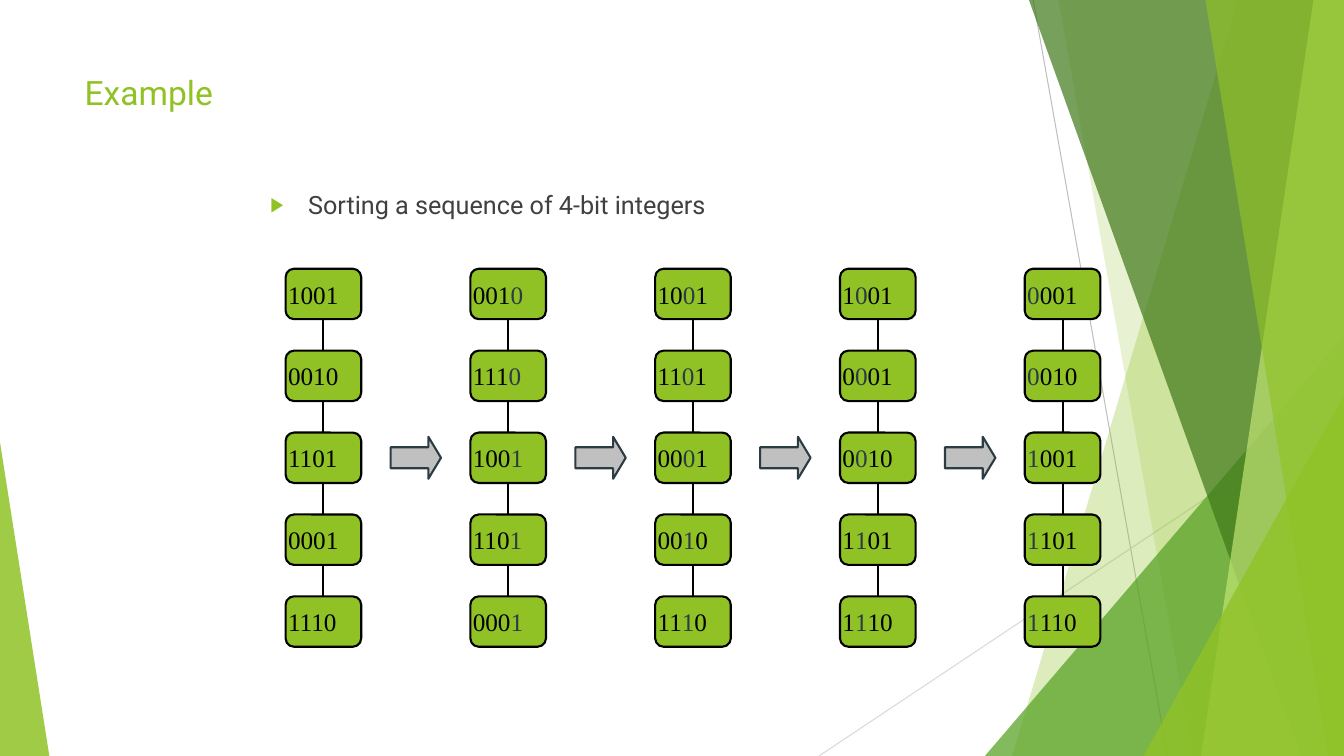
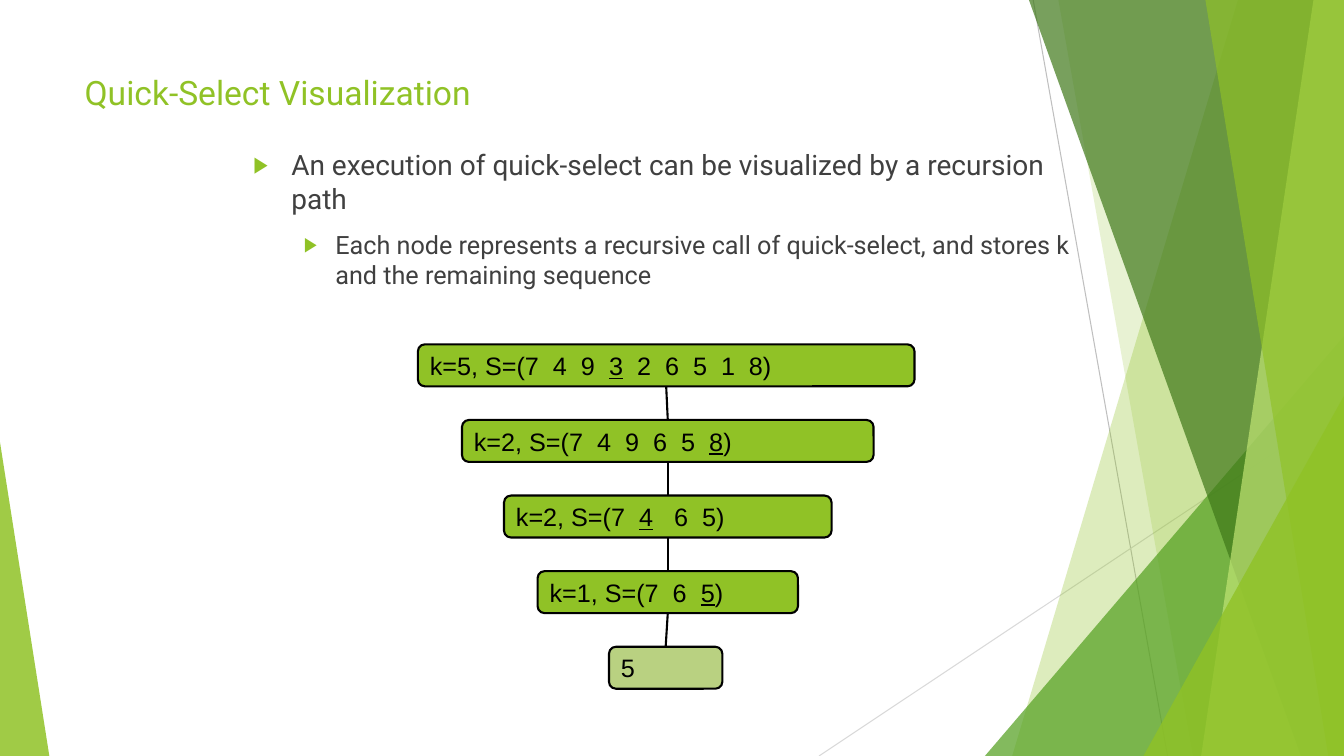
from lxml import etree
from pptx import Presentation
from pptx import util as u
from pptx.dml.color import RGBColor
from pptx.enum import shapes, text
from pptx.oxml.ns import qn

PX = 9525
WIDTH, HEIGHT = 1280, 720
GREEN = "90C226"
BLACK = "000000"
BODY_GREY = "404040"
DARK_SLATE = "2C3C43"
HEADING_FONT = "Roboto"
BOTTOM, TOP = 2, 0

SEQUENCE = ["1001", "0010", "1101", "0001", "1110"]
# Left, width, label and fill; the pivot stands between underscores.
RECURSION_PATH = [
    (398, 473, "k=5, S=(7  4  9  _3_  2  6  5  1  8)", GREEN),
    (440, 392, "k=2, S=(7  4  9  6  5  _8_)", GREEN),
    (480, 312, "k=2, S=(7  _4_   6  5)", GREEN),
    (512, 248, "k=1, S=(7  6  _5_)", GREEN),
    (580, 108, "5", "B9D181"),
]


def px(*lengths):
    return [u.Emu(length * PX) for length in lengths]


def colour(value):
    return RGBColor.from_string(value)


def paint(shape, fill, line=None, opacity=None):
    shape.shadow.inherit = False
    shape.fill.solid()
    shape.fill.fore_color.rgb = colour(fill)
    if opacity:
        solid = shape._element.spPr.find(qn("a:solidFill"))
        etree.SubElement(solid[0], qn("a:alpha"), val=str(opacity * 1000))
    if line:
        shape.line.color.rgb = colour(line)
        shape.line.width = u.Pt(1.5)
    else:
        shape.line.fill.background()


def format_run(run, font, size, value):
    run.font.name = font
    run.font.size = u.Pt(size)
    run.font.color.rgb = colour(value)


def add_line(slide, points=(0, 0, 0, 0), value=BLACK, width=1.5):
    line = slide.shapes.add_connector(shapes.MSO_CONNECTOR.STRAIGHT, *px(*points))
    line.line.color.rgb = colour(value)
    line.line.width = u.Pt(width)
    etree.SubElement(line._element.spPr, qn("a:effectLst"))
    return line


def add_band(slide, top_x, bottom_x, fill, opacity):
    """Fill the area between a slanted edge and the right side of the slide."""
    builder = slide.shapes.build_freeform(top_x, 0, PX)
    builder.add_line_segments([(WIDTH, 0), (WIDTH, HEIGHT), (bottom_x, HEIGHT)])
    paint(builder.convert_to_shape(), fill, opacity=opacity)


def add_corner(slide, left, top, width, apex, fill, opacity):
    """Add a right-angled triangle standing on the bottom of the slide."""
    shape = slide.shapes.add_shape(
        shapes.MSO_SHAPE.ISOSCELES_TRIANGLE, *px(left, top, width, HEIGHT - top))
    shape.adjustments[0] = apex
    paint(shape, fill, opacity=opacity)


def decorate_layout(layout, slide):
    """Draw the shared facets on a slide, then move them to its layout."""
    add_line(slide, (984, 0, 1112, HEIGHT), "BFBFBF", 0.75)
    add_line(slide, (WIDTH, 387, 780, HEIGHT), "D9D9D9", 0.75)
    add_band(slide, 1179, 964, GREEN, 30)
    add_band(slide, 1008, 1136, GREEN, 20)
    add_corner(slide, 938, 320, 342, 1, "54A021", 72)
    add_band(slide, 980, 1239, "3F7819", 70)
    add_band(slide, 1251, 1144, "C0E474", 70)
    add_band(slide, 1148, 1265, GREEN, 65)
    add_corner(slide, 1089, 377, 191, 1, GREEN, 80)
    add_corner(slide, 0, 421, 47, 0, GREEN, 85)
    facets = [shape for shape in slide.shapes if not shape.is_placeholder]
    for index, facet in enumerate(facets):
        facet._element.xpath(".//p:cNvPr")[0].set("id", str(100 + index))
        layout.shapes._spTree.insert(2 + index, facet._element)


def set_title(slide, title):
    shape = slide.shapes.title
    shape.left, shape.top, shape.width, shape.height = px(71, 64, 902, 138)
    frame = shape.text_frame
    frame.text = title
    frame.auto_size = text.MSO_AUTO_SIZE.NONE
    frame.vertical_anchor = text.MSO_ANCHOR.TOP
    paragraph = frame.paragraphs[0]
    paragraph.alignment = text.PP_ALIGN.LEFT
    format_run(paragraph.runs[0], HEADING_FONT, 24, GREEN)


def set_bullet(paragraph, margin, hanging):
    properties = paragraph._p.get_or_add_pPr()
    properties.set("marL", str(margin * PX))
    properties.set("indent", str(-hanging * PX))
    bullet_colour = etree.SubElement(properties, qn("a:buClr"))
    etree.SubElement(bullet_colour, qn("a:srgbClr"), val=GREEN)
    etree.SubElement(properties, qn("a:buSzPct"), val="80000")
    etree.SubElement(properties, qn("a:buFont"), typeface="Arial")
    etree.SubElement(properties, qn("a:buChar"), char="▶")


def add_bullets(slide, box, items):
    """Add a bullet list of (text, size, margin, hanging indent) items."""
    frame = slide.shapes.add_textbox(*px(*box)).text_frame
    frame.word_wrap = True
    for index, (words, size, margin, hanging) in enumerate(items):
        paragraph = frame.add_paragraph() if index else frame.paragraphs[0]
        paragraph.text = words
        set_bullet(paragraph, margin, hanging)
        if index:
            paragraph.space_before = u.Pt(10)
            paragraph.level = 1
        format_run(paragraph.runs[0], HEADING_FONT, size, BODY_GREY)


def add_node(slide, box, label, font, fill=GREEN):
    """Add a rounded node and return it with its marked runs."""
    node = slide.shapes.add_shape(shapes.MSO_SHAPE.ROUNDED_RECTANGLE, *px(*box))
    paint(node, fill, BLACK)
    frame = node.text_frame
    frame.word_wrap = True
    frame.vertical_anchor = text.MSO_ANCHOR.MIDDLE
    paragraph = frame.paragraphs[0]
    paragraph.alignment = text.PP_ALIGN.LEFT
    marked = []
    for index, piece in enumerate(label.split("_")):
        if piece:
            run = paragraph.add_run()
            run.text = piece
            format_run(run, font, 18, BLACK)
            if index % 2:
                marked.append(run)
    return node, marked


def join_nodes(slide, nodes):
    for upper, lower in zip(nodes, nodes[1:]):
        line = add_line(slide)
        line.begin_connect(upper, BOTTOM)
        line.end_connect(lower, TOP)


def add_integer_column(slide, left, integers, bit):
    """Add a chain of integers, with the bit just sorted in another colour."""
    nodes = []
    for row, digits in enumerate(integers):
        label = digits
        if bit is not None:
            label = f"{digits[:bit]}_{digits[bit]}_{digits[bit + 1:]}"
        node, marked = add_node(
            slide, (left, 256 + row * 78, 72, 48), label, "Times New Roman")
        node.text_frame.margin_left = node.text_frame.margin_right = 0
        for run in marked:
            run.font.color.rgb = colour(DARK_SLATE)
        nodes.append(node)
    join_nodes(slide, nodes)


def add_step_arrow(slide, left):
    arrow = slide.shapes.add_shape(
        shapes.MSO_SHAPE.RIGHT_ARROW, *px(left, 416, 48, 40))
    arrow.adjustments[0] = 0.5
    arrow.adjustments[1] = 0.3
    paint(arrow, "C0C0C0", DARK_SLATE)


def fill_radix_sort(slide):
    set_title(slide, "Example")
    add_bullets(slide, (248, 176, 816, 56),
                [("Sorting a sequence of 4-bit integers", 18, 36, 36)])
    integers = SEQUENCE
    for column, bit in enumerate([None, 3, 2, 1, 0]):
        left = 272 + column * 176
        if bit is not None:
            integers = sorted(integers, key=lambda digits: digits[bit])
            add_step_arrow(slide, left - 76)
        add_integer_column(slide, left, integers, bit)


def fill_quick_select(slide):
    set_title(slide, "Quick-Select Visualization")
    add_bullets(slide, (232, 136, 824, 208), [
        ("An execution of quick-select can be visualized by a recursion path",
         20, 36, 36),
        ("Each node represents a recursive call of quick-select, "
         "and stores k and the remaining sequence", 18, 78, 30),
    ])
    nodes = []
    for row, (left, width, label, fill) in enumerate(RECURSION_PATH):
        node, pivots = add_node(
            slide, (left, 328 + row * 72, width, 40), label, "Arial", fill)
        for run in pivots:
            run.font.underline = True
        nodes.append(node)
    join_nodes(slide, nodes)


def main():
    presentation = Presentation()
    presentation.slide_width, presentation.slide_height = px(WIDTH, HEIGHT)
    layout = presentation.slide_layouts.get_by_name("Title Only")
    radix_sort = presentation.slides.add_slide(layout)
    decorate_layout(layout, radix_sort)
    fill_radix_sort(radix_sort)
    fill_quick_select(presentation.slides.add_slide(layout))
    presentation.save("out.pptx")


if __name__ == "__main__":
    main()
